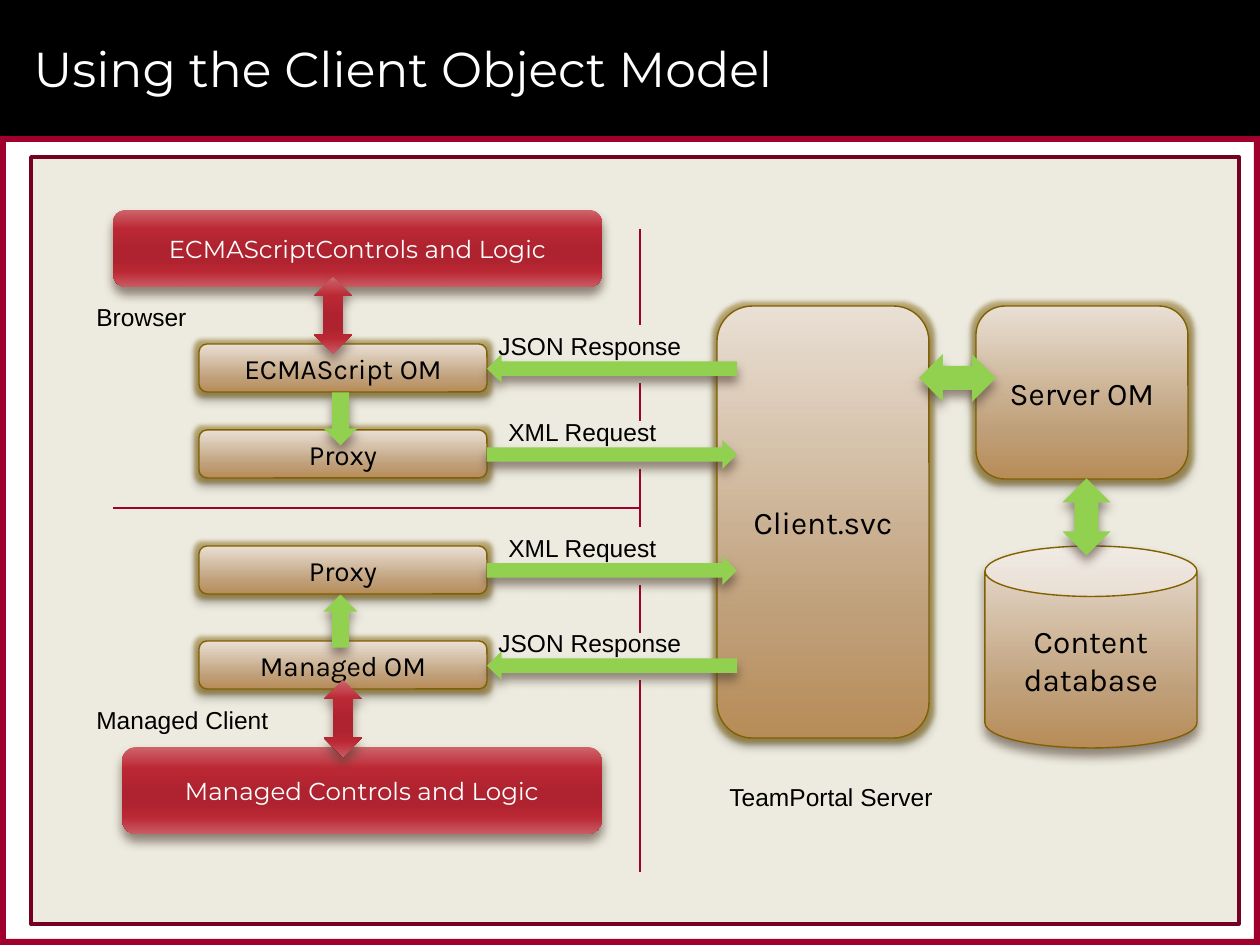
"""Builds the slide "Using the Client Object Model": client tiers, proxies and server."""
import pptx
import pptx.dml.color
import pptx.enum.shapes
import pptx.enum.text
import pptx.oxml
import pptx.oxml.ns
import pptx.util

RGB = pptx.dml.color.RGBColor
SHAPE = pptx.enum.shapes.MSO_SHAPE
ALIGN = pptx.enum.text.PP_ALIGN
ANCHOR = pptx.enum.text.MSO_ANCHOR
qn = pptx.oxml.ns.qn

BLACK = RGB(0, 0, 0)
WHITE = RGB(255, 255, 255)
CRIMSON = RGB(0x9F, 0x00, 0x2D)
MAROON = RGB(0x76, 0x00, 0x21)
CREAM = RGB(0xED, 0xEB, 0xDF)
GREEN = RGB(0x92, 0xD0, 0x50)
OLIVE = RGB(0x82, 0x60, 0x00)
BROWN = RGB(0x4E, 0x3B, 0x30)
TAN_STOPS = [(0, RGB(0xE9, 0xDF, 0xD4)), (72, RGB(0xBF, 0x9F, 0x79)),
             (100, RGB(0xB7, 0x8C, 0x57))]
RED_STOPS = [(0, RGB(0xCE, 0x64, 0x6B)), (25, RGB(0xBB, 0x28, 0x34)),
             (50, RGB(0xAE, 0x23, 0x2F)), (65, RGB(0xAE, 0x23, 0x2F)),
             (80, RGB(0xBA, 0x28, 0x34)), (100, RGB(0xC9, 0x5B, 0x63))]
SOFT_SHADOW = (BLACK, 35, 4, 3)
DEEP_SHADOW = (BROWN, 60, 6, 4)

PX = 914400 / 126
HAIRLINE = 0.79
TITLE = "Using the Client Object Model"
FRAME = [((0, 0, 1260, 136), BLACK), ((0, 136, 1260, 6), CRIMSON),
         ((0, 939, 1260, 6), CRIMSON), ((1254, 136, 6, 809), CRIMSON),
         ((0, 136, 6, 809), CRIMSON)]
PANEL = (31, 157, 1208, 767)

SERVER_BOXES = [("Client.svc", (717, 306, 212, 432)), ("Server OM", (976, 306, 212, 173))]
DATABASE = ("Content\ndatabase", (985, 546, 212, 202))
CONTROLS = [("Managed Controls and Logic", (122, 747, 480, 87)),
            ("ECMAScriptControls and Logic", (113, 210, 489, 77))]
CLIENT_ROWS = [("ECMAScript OM", 344, "JSON Response"), ("Proxy", 430, "XML Request"),
               ("Proxy", 546, "XML Request"), ("Managed OM", 641, "JSON Response")]
ROW_LEFT, ROW_WIDTH, ROW_HEIGHT = 199, 288, 48
MESSAGE_WIDTH, MESSAGE_HEIGHT = 250, 29
MESSAGE_LABELS = {"JSON Response": (486, 239, True), "XML Request": (496, 174, False)}

GREEN_ARROWS = [(SHAPE.LEFT_RIGHT_ARROW, (919, 354, 77, 48), 0),
                (SHAPE.LEFT_RIGHT_ARROW, (1048, 493, 77, 48), 90),
                (SHAPE.RIGHT_ARROW, (314, 604, 53, 34), 270),
                (SHAPE.RIGHT_ARROW, (314, 402, 53, 34), 90)]
RED_ARROWS = [(314, 277, 38, 77), (324, 680, 38, 77)]
DIVIDER_X = 640
DIVIDER_SPANS = [(229, 325), (383, 421), (469, 527), (585, 633), (680, 872)]
CLIENT_DIVIDER = (113, 508, DIVIDER_X, 508)
ZONE_LABELS = [("Browser", (84, 296, 135, 43)), ("Managed Client", (84, 699, 239, 43)),
               ("TeamPortal Server", (717, 776, 336, 43))]


def emu(lengths):
    return [pptx.util.Emu(round(length * PX)) for length in lengths]


def write(frame, text, size, font, color, align):
    paragraph = frame.paragraphs[0]
    paragraph.alignment = align
    for index, part in enumerate(text.split("\n")):
        if index:
            paragraph.add_line_break()
        run = paragraph.add_run()
        run.text = part
        run.font.size = pptx.util.Pt(size)
        run.font.name = font
        run.font.color.rgb = color


def color_xml(color, alpha=100):
    return f'<a:srgbClr val="{color}"><a:alpha val="{alpha * 1000}"/></a:srgbClr>'


def add_effects(shape, shadow, glow):
    effects = shape.element.spPr.find(qn("a:effectLst"))
    namespace = pptx.oxml.ns.nsdecls("a")
    if glow:
        effects.append(pptx.oxml.parse_xml(
            f'<a:glow {namespace} rad="63500">{color_xml(OLIVE, 45)}</a:glow>'))
    color, alpha, blur, distance = shadow
    effects.append(pptx.oxml.parse_xml(
        f'<a:outerShdw {namespace} blurRad="{blur * 12700}" dist="{distance * 12700}" '
        f'dir="5400000" rotWithShape="0">{color_xml(color, alpha)}</a:outerShdw>'))


def set_gradient(shape, stops):
    shape.fill.gradient()
    shape.fill.gradient_angle = 270
    stop_list = shape.element.spPr.find(qn("a:gradFill")).find(qn("a:gsLst"))
    for stop in list(stop_list):
        stop_list.remove(stop)
    for position, color in stops:
        stop_list.append(pptx.oxml.parse_xml(
            f'<a:gs {pptx.oxml.ns.nsdecls("a")} pos="{position * 1000}">{color_xml(color)}</a:gs>'))


def add_block(slide, kind, box, fill, line=None, width=HAIRLINE, shadow=None, glow=False,
              rotation=0):
    shape = slide.shapes.add_shape(kind, *emu(box))
    shape.rotation = rotation
    shape.shadow.inherit = False
    if isinstance(fill, list):
        set_gradient(shape, fill)
    else:
        shape.fill.solid()
        shape.fill.fore_color.rgb = fill
    if line is None:
        shape.line.fill.background()
    else:
        shape.line.color.rgb = line
        shape.line.width = pptx.util.Pt(width)
    if shadow:
        add_effects(shape, shadow, glow)
    return shape


def add_tan(slide, kind, text, box, size, shadow=SOFT_SHADOW, glow=True):
    shape = add_block(slide, kind, box, TAN_STOPS, OLIVE, shadow=shadow, glow=glow)
    write(shape.text_frame, text, size, "Karla", BLACK, ALIGN.CENTER)


def add_divider(slide, ends):
    divider = slide.shapes.add_connector(pptx.enum.shapes.MSO_CONNECTOR.STRAIGHT, *emu(ends))
    divider.line.color.rgb = CRIMSON
    divider.line.width = pptx.util.Pt(HAIRLINE)
    divider.element.spPr.append(pptx.oxml.parse_xml(
        f'<a:effectLst {pptx.oxml.ns.nsdecls("a")}/>'))


def add_label(slide, text, box, wrap=True):
    frame = slide.shapes.add_textbox(*emu(box)).text_frame
    frame.word_wrap = wrap
    write(frame, text, 14, "Arial", BLACK, ALIGN.LEFT)


def main():
    deck = pptx.Presentation()
    deck.slide_width, deck.slide_height = emu((1260, 945))
    slide = deck.slides.add_slide(deck.slide_layouts[5])

    for box, color in FRAME:
        add_block(slide, SHAPE.RECTANGLE, box, color)
    add_block(slide, SHAPE.RECTANGLE, PANEL, CREAM, MAROON, 2)

    title = slide.shapes.title
    title.left, title.top, title.width, title.height = emu((21, 10, 1187, 116))
    title.text_frame.vertical_anchor = ANCHOR.MIDDLE
    write(title.text_frame, TITLE, 28, "Montserrat", WHITE, ALIGN.LEFT)
    slide.shapes.element.append(title.element)

    for text, box in SERVER_BOXES:
        add_tan(slide, SHAPE.ROUNDED_RECTANGLE, text, box, 18)
    add_tan(slide, SHAPE.CAN, *DATABASE, 18, DEEP_SHADOW, False)
    for text, top, _ in CLIENT_ROWS:
        add_tan(slide, SHAPE.ROUNDED_RECTANGLE, text, (ROW_LEFT, top, ROW_WIDTH, ROW_HEIGHT), 16)
    for text, box in CONTROLS:
        control = add_block(slide, SHAPE.ROUNDED_RECTANGLE, box, RED_STOPS, shadow=DEEP_SHADOW)
        write(control.text_frame, text, 14, "Montserrat", WHITE, ALIGN.CENTER)

    add_divider(slide, CLIENT_DIVIDER)
    for top, bottom in DIVIDER_SPANS:
        add_divider(slide, (DIVIDER_X, top, DIVIDER_X, bottom))

    for kind, box, rotation in GREEN_ARROWS:
        add_block(slide, kind, box, GREEN, shadow=DEEP_SHADOW, rotation=rotation)
    for box in RED_ARROWS:
        add_block(slide, SHAPE.UP_DOWN_ARROW, box, RED_STOPS, shadow=DEEP_SHADOW)
    for _, top, message in CLIENT_ROWS:
        arrow_top = top + 10
        add_block(slide, SHAPE.RIGHT_ARROW,
                  (ROW_LEFT + ROW_WIDTH, arrow_top, MESSAGE_WIDTH, MESSAGE_HEIGHT), GREEN,
                  shadow=DEEP_SHADOW, rotation=180 if message == "JSON Response" else 0)
        left, width, wrap = MESSAGE_LABELS[message]
        add_label(slide, message, (left, arrow_top - MESSAGE_HEIGHT, width, 43), wrap)
    for text, box in ZONE_LABELS:
        add_label(slide, text, box)

    deck.save("out.pptx")


if __name__ == "__main__":
    main()
